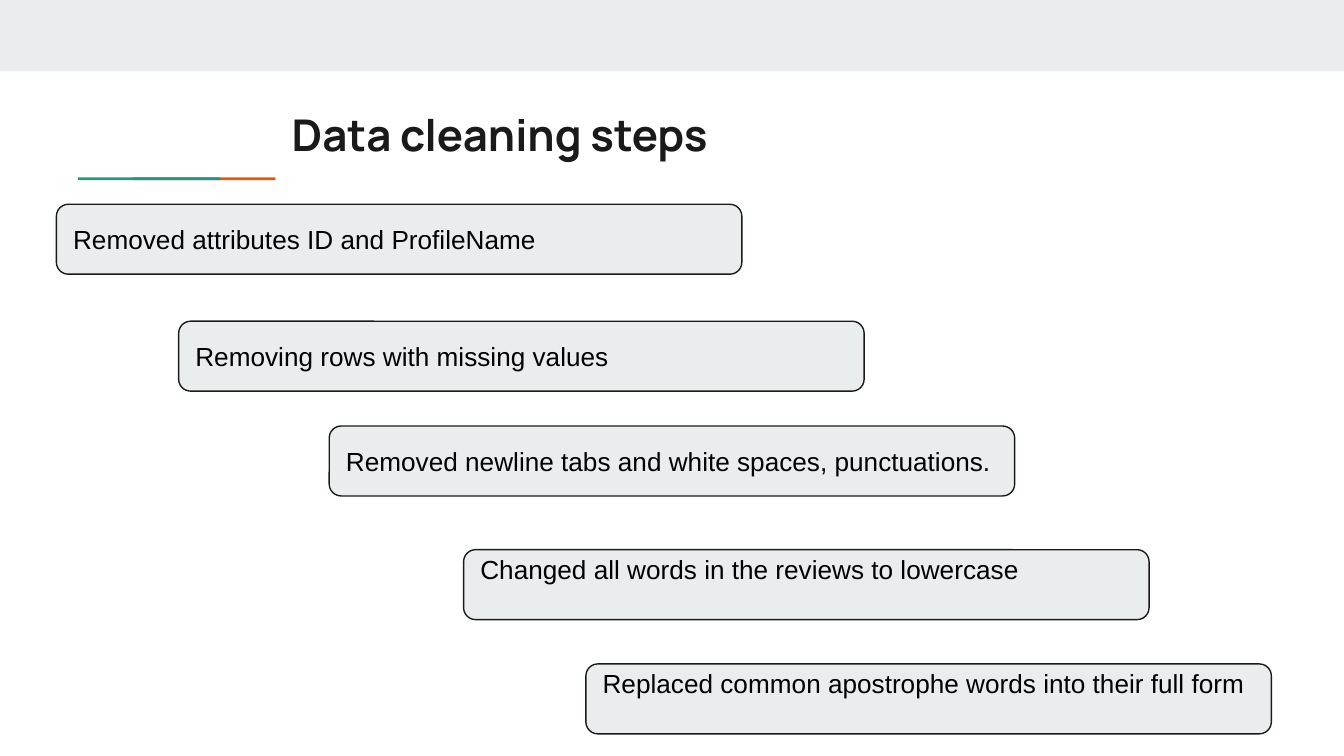
from pptx import Presentation
from pptx.dml.color import RGBColor
from pptx.enum import shapes, text
from pptx.util import Inches, Pt

TITLE = "Data cleaning steps"
INK, PALE, TEAL, ORANGE = "1A1A1A", "E9EDEE", "1A9988", "EB5600"
STEP_SIZE = (5.1, 0.52)
MIDDLE, TOP = text.MSO_ANCHOR.MIDDLE, text.MSO_ANCHOR.TOP

# wording, left, top, anchor, top inset
STEPS = [
    ("Removed attributes ID and ProfileName", 0.42, 1.52, MIDDLE, 0.1),
    ("Removing rows with missing values", 1.33, 2.39, MIDDLE, 0.1),
    ("Removed newline tabs and white spaces, punctuations.", 2.45, 3.17, MIDDLE, 0.1),
    ("Changed all words in the reviews to lowercase", 3.45, 4.09, TOP, 0),
    ("Replaced common apostrophe words into their full form", 4.36, 4.94, TOP, 0),
]

# left, top, width, height, fill
BARS = [
    (0, 0, 10, 0.53, PALE),
    (0.99, 1.32, 1.06, 0.02, ORANGE),
    (0.58, 1.32, 1.06, 0.02, TEAL),
]


def color(value):
    return RGBColor.from_string(value)


def add_block(page, kind, left, top, width, height, fill):
    block = page.shapes.add_shape(
        kind, Inches(left), Inches(top), Inches(width), Inches(height))
    block.shadow.inherit = False
    block.fill.solid()
    block.fill.fore_color.rgb = color(fill)
    block.line.fill.background()
    return block


def write(box, wording, font, size, ink, anchor, top_inset=0.1, bold=False):
    frame = box.text_frame
    frame.text = wording
    frame.word_wrap = True
    frame.auto_size = text.MSO_AUTO_SIZE.NONE
    frame.vertical_anchor = anchor
    frame.margin_left = frame.margin_right = frame.margin_bottom = Inches(0.1)
    frame.margin_top = Inches(top_inset)
    para = frame.paragraphs[0]
    para.alignment = text.PP_ALIGN.LEFT
    para.font.name, para.font.size, para.font.bold = font, Pt(size), bold
    para.font.color.rgb = color(ink)


def main():
    deck = Presentation()
    deck.slide_width = Inches(10)
    deck.slide_height = deck.slide_width * 9 // 16
    page = deck.slides.add_slide(deck.slide_layouts[5])

    for bar in BARS:
        add_block(page, shapes.MSO_SHAPE.RECTANGLE, *bar)

    title = page.shapes.title
    title.left, title.top = Inches(2.07), Inches(0.7)
    title.width, title.height = Inches(8.41), Inches(0.59)
    write(title, TITLE, "Manrope", 23.4, INK, MIDDLE, bold=True)

    for wording, left, top, anchor, top_inset in STEPS:
        step = add_block(page, shapes.MSO_SHAPE.ROUNDED_RECTANGLE,
                         left, top, *STEP_SIZE, PALE)
        step.adjustments[0] = 0.17
        step.line.color.rgb = color(INK)
        step.line.width = Pt(0.75)
        write(step, wording, "Arial", 14, "000000", anchor, top_inset)

    deck.save("out.pptx")


if __name__ == "__main__":
    main()
